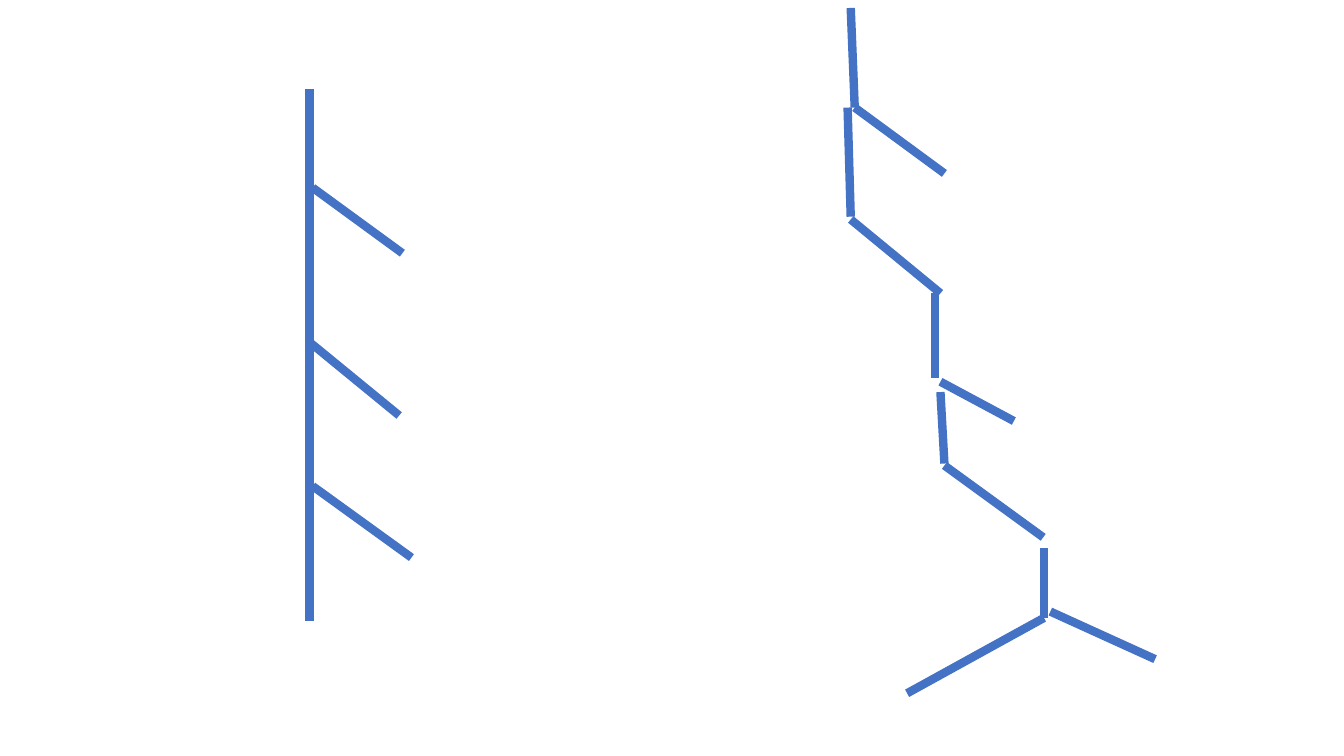
from lxml import etree
from pptx import Presentation
from pptx import util as u
from pptx.dml.color import RGBColor
from pptx.enum import shapes
from pptx.oxml import ns

BLUE = RGBColor(0x44, 0x72, 0xC4)
STROKE = u.Pt(6)


def add_strokes(slide, left, top, strokes):
    """Draw strokes given as (x1, y1, x2, y2) in cm from the box corner."""
    for x1, y1, x2, y2 in strokes:
        connector = slide.shapes.add_connector(
            shapes.MSO_CONNECTOR.STRAIGHT,
            u.Cm(left + x1), u.Cm(top + y1), u.Cm(left + x2), u.Cm(top + y2))
        connector.line.color.rgb = BLUE
        connector.line.width = STROKE
        properties = connector._element.find(ns.qn("p:spPr"))
        etree.SubElement(properties, ns.qn("a:effectLst"))


def add_straight_tree(slide, left, top, height):
    """Draw a vertical stem with three branches to its right."""
    stem = (0, 0, 0, height)
    branches = [
        (0.08, 2.49, 2.34, 4.14),
        (0, 6.38, 2.26, 8.23),
        (0.08, 10.01, 2.57, 11.81),
    ]
    add_strokes(slide, left, top, [stem, *branches])


def add_stepped_tree(slide, left, top):
    """Draw a stem that steps to the right, with side branches and a fork."""
    steps = [
        (0.18, 2.51, 2.44, 4.17),
        (0.08, 5.33, 2.34, 7.19),
        (2.44, 11.53, 4.93, 13.34),
    ]
    upper_stem = [
        (0.08, 0, 0.18, 2.51),
        (0, 2.51, 0.08, 5.26),
    ]
    middle_stem = [
        (2.21, 7.19, 2.21, 9.32),
        (2.34, 9.42, 4.19, 10.41),
        (2.34, 9.68, 2.44, 11.48),
    ]
    fork = [
        (4.95, 13.61, 4.95, 15.37),
        (5.11, 15.21, 7.75, 16.41),
        (4.95, 15.37, 1.5, 17.27),
    ]
    add_strokes(slide, left, top, steps + upper_stem + middle_stem + fork)


def build_presentation():
    """Build the slide with both trees and save it."""
    presentation = Presentation()
    presentation.slide_width = u.Cm(33.87)
    presentation.slide_height = u.Cm(19.05)
    slide = presentation.slides.add_slide(presentation.slide_layouts[6])
    add_straight_tree(slide, left=7.8, top=2.24, height=13.41)
    add_stepped_tree(slide, left=21.36, top=0.2)
    presentation.save("out.pptx")


build_presentation()
